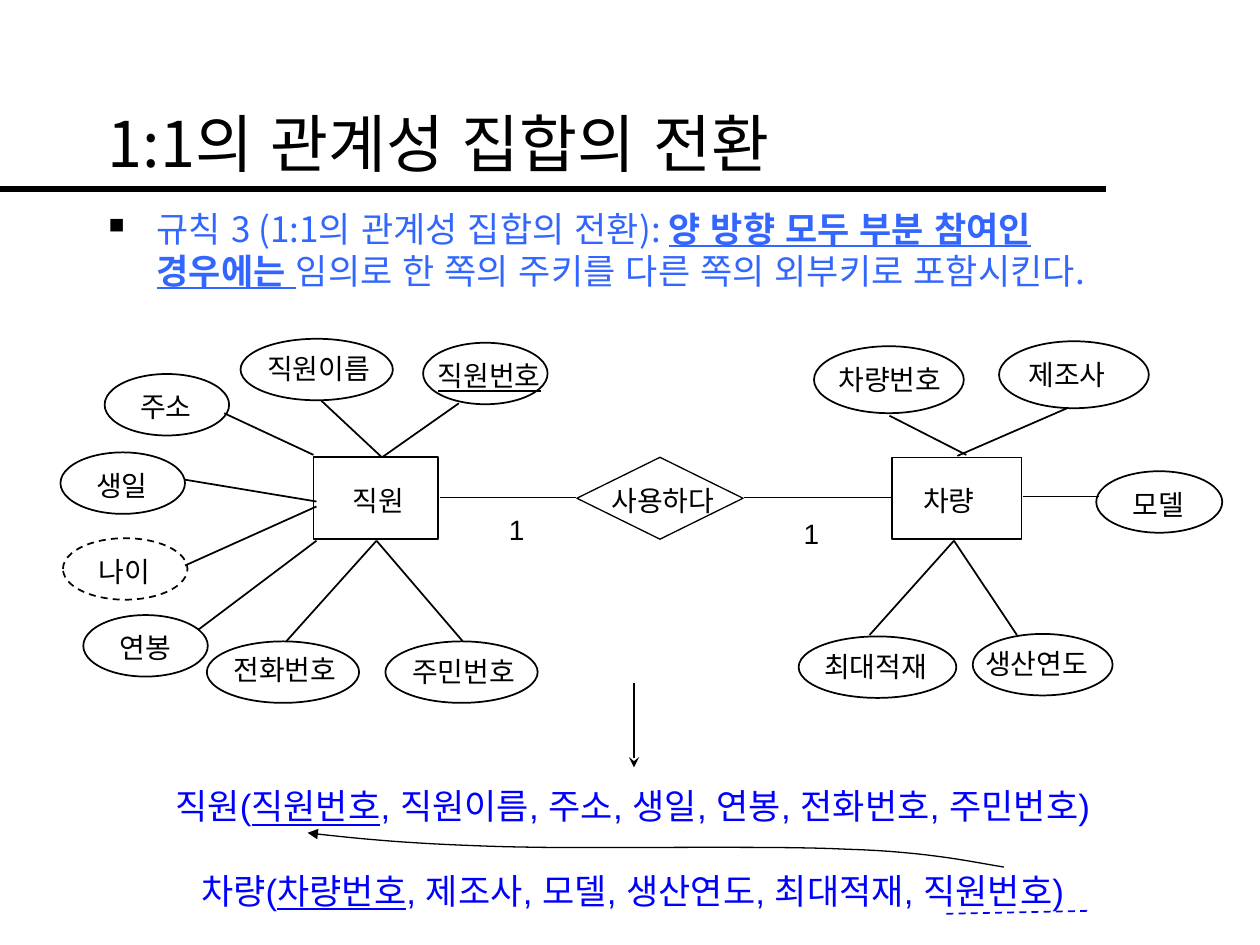
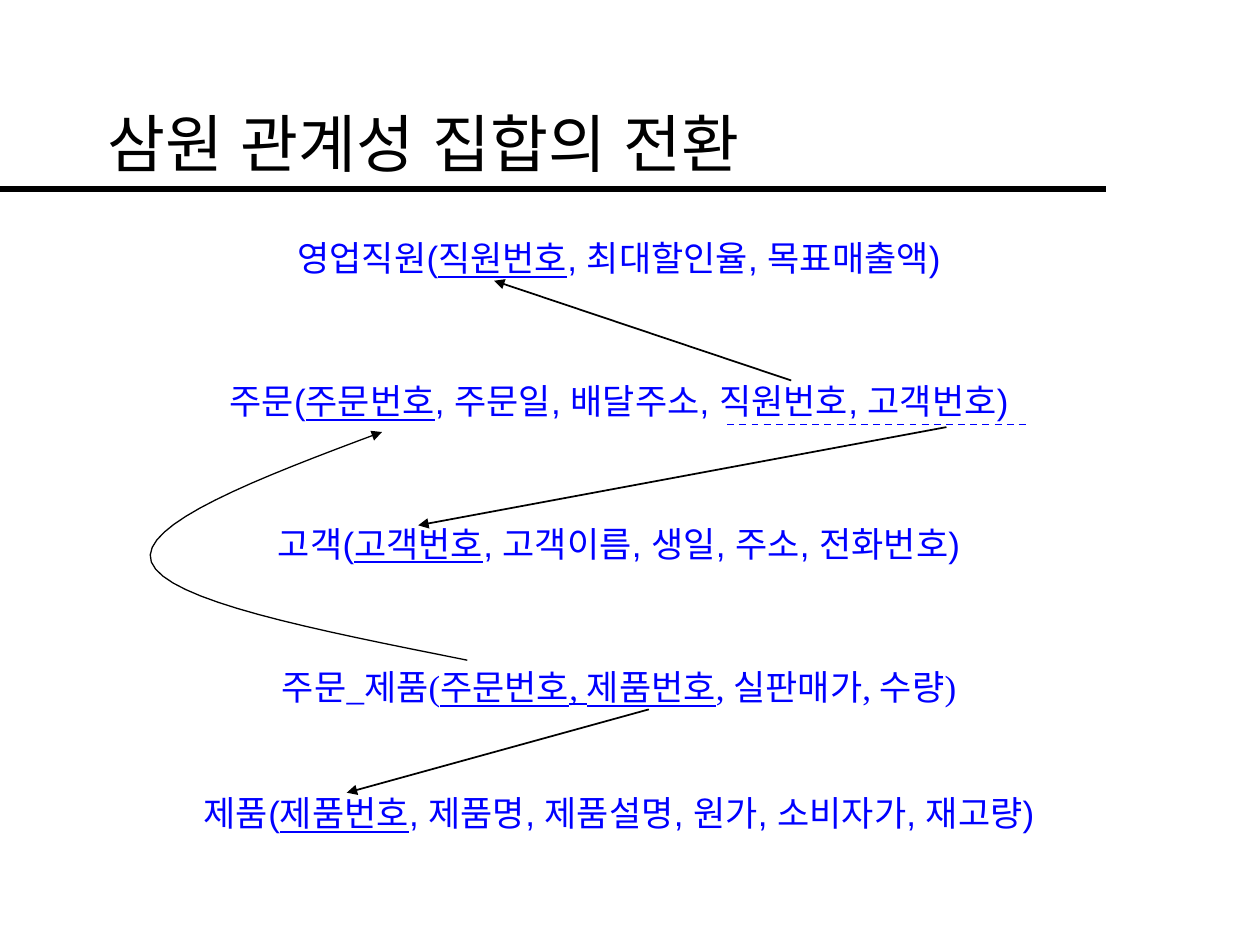
import dataclasses
import typing

import pptx
import pptx.dml.color
import pptx.enum.dml
import pptx.enum.shapes
import pptx.enum.text
import pptx.oxml.ns
import pptx.util
from lxml import etree

Cm = pptx.util.Cm
Pt = pptx.util.Pt
Kind = pptx.enum.shapes.MSO_SHAPE
Align = pptx.enum.text.PP_ALIGN
Mid = pptx.enum.text.MSO_ANCHOR.MIDDLE

INK, PAPER, BLUE, SKY = "000000", "FFFFFF", "0000FF", "3366FF"
SANS, LATIN, SERIF = "Noto Sans CJK KR", "Arial", "Times New Roman"


@dataclasses.dataclass
class Node:
    """An entity, relationship or attribute, with its label nudged by dx, dy."""
    text: str
    left: float
    top: float
    width: float = 2.51
    height: float = 1.24
    kind: typing.Any = Kind.OVAL
    dx: float = 0
    dy: float = 0.04
    under: bool = False
    dash: bool = False
    weight: float = 1


@dataclasses.dataclass
class Edge:
    """A straight line between two points."""
    x1: float
    y1: float
    x2: float
    y2: float
    weight: float = 1
    color: str = INK
    dash: bool = False
    tail: str = ""


@dataclasses.dataclass
class Table:
    """A relation schema: its name, underlined key and other columns."""
    name: str
    key: str
    rest: str
    gap: float = 0
    font: str = LATIN


NODES = [
    Node("주소", 2.11, 7.54, dx=-0.02),
    Node("직원이름", 4.85, 6.83, 3.07, dx=0.04, dy=-0.02),
    Node("직원번호", 8.53, 6.91, dx=0.08, under=True),
    Node("생일", 1.22, 9.12, dx=-0.02),
    Node("나이", 1.27, 10.85, dx=-0.02, dash=True),
    Node("연봉", 1.68, 12.4),
    Node("전화번호", 4.17, 12.93, 3.07, dx=0.04, dy=-0.06),
    Node("주민번호", 7.77, 12.93, 3.07, dx=0.04, dy=-0.02),
    Node("직원", 6.32, 9.22, 2.51, 1.65, Kind.RECTANGLE, 0.06),
    Node("사용하다", 11.63, 9.22, 3.35, 1.65, Kind.DIAMOND, 0.06, weight=0.75),
    Node("차량", 17.98, 9.22, 2.62, 1.65, Kind.RECTANGLE, -0.16, weight=0.75),
    Node("차량번호", 16.41, 6.98, 3.02, 1.35, dx=0.02, dy=0),
    Node("제조사", 20.14, 6.88, 3.02, 1.35, dx=-0.14, dy=0),
    Node("모델", 22.1, 9.5, 2.54, dx=-0.02),
    Node("최대적재", 16.1, 12.83, 3.18, dx=-0.04, dy=-0.02),
    Node("생산연도", 19.61, 12.78, 2.82, dx=-0.12, dy=-0.02),
]

EDGES = [
    Edge(4.52, 8.33, 6.32, 9.17),
    Edge(6.48, 8.08, 7.7, 9.22),
    Edge(9.25, 8.13, 7.7, 9.22),
    Edge(3.73, 9.67, 6.38, 10.11),
    Edge(3.73, 11.4, 6.38, 10.21),
    Edge(3.99, 12.7, 6.38, 10.9),
    Edge(7.59, 10.9, 5.77, 12.93),
    Edge(7.59, 10.9, 9.33, 12.93),
    Edge(8.86, 10.03, 11.61, 10.03, 0.75),
    Edge(14.99, 10.03, 17.96, 10.03, 0.75),
    Edge(17.93, 8.38, 19.48, 9.17),
    Edge(21.51, 8.23, 19.3, 9.19),
    Edge(20.62, 10.01, 22.15, 10.01),
    Edge(19.23, 10.9, 17.53, 12.8),
    Edge(19.23, 10.9, 20.5, 12.8),
    Edge(12.78, 13.77, 12.78, 15.47, tail="stealth"),
    Edge(19.08, 18.42, 22, 18.36, color=BLUE, dash=True),
]

LINKS = [
    Edge(14.66, 8.56, 20.68, 8.56, color=BLUE, dash=True),
    Edge(15.95, 7.67, 9.96, 5.66, tail="triangle"),
    Edge(19.08, 8.61, 8.43, 10.59, tail="triangle"),
    Edge(13.08, 14.3, 6.99, 15.98, tail="triangle"),
]

PAIR = [
    Table("직원(", "직원번호", ", 직원이름, 주소, 생일, 연봉, 전화번호, 주민번호)"),
    Table("차량(", "차량번호", ", 제조사, 모델, 생산연도, 최대적재, 직원번호)", 24),
]

SALES = [
    Table("영업직원(", "직원번호", ", 최대할인율, 목표매출액)"),
    Table("주문(", "주문번호", ", 주문일, 배달주소, 직원번호, 고객번호)", 57.5),
    Table("고객(", "고객번호", ", 고객이름, 생일, 주소, 전화번호)", 57.5),
    Table("주문_제품(", "주문번호, 제품번호", ", 실판매가, 수량)", 58, SERIF),
    Table("제품(", "제품번호", ", 제품명, 제품설명, 원가, 소비자가, 재고량)", 48),
]

CURVE = [(6.2, 16.79), (7.29, 16.92), (8.38, 17.02), (10.21, 17.07),
         (12.01, 17.12), (15.39, 17.04), (17.07, 17.12),
         (18.75, 17.17), (19.71, 17.4), (20.24, 17.48)]
BEND = [(7.7, 8.71), (5.23, 9.63), (2.77, 10.57), (3.05, 11.33),
        (3.35, 12.12), (6.38, 12.7), (9.42, 13.31)]


def put(thing: typing.Any, **vals: typing.Any) -> None:
    """Set each given attribute on an object."""
    for name, val in vals.items():
        setattr(thing, name, val)


def tint(code: str) -> pptx.dml.color.RGBColor:
    """Turn a hex string into a colour."""
    return pptx.dml.color.RGBColor.from_string(code)


def tag(root: typing.Any, name: str, **vals: str) -> typing.Any:
    """Append a drawing element to a parent."""
    return etree.SubElement(root, pptx.oxml.ns.qn("a:" + name), vals)


def write(para: typing.Any, text: str, size: float, color: str = INK,
          face: str = LATIN, east: str = SANS, **style: typing.Any) -> None:
    """Add a styled run to a paragraph."""
    run = para.add_run()
    run.text = text
    put(run.font, size=Pt(size), name=face, **style)
    run.font.color.rgb = tint(color)
    tag(run.font._element, "ea", typeface=east)


def box(slide: typing.Any, left: float, top: float, width: float,
        height: float, **style: typing.Any) -> typing.Any:
    """Add a text box and return its text frame."""
    frame = slide.shapes.add_textbox(
        Cm(left), Cm(top), Cm(width), Cm(height)).text_frame
    put(frame, **{"word_wrap": True, **style})
    return frame


def pen(line: typing.Any, color: str, weight: float, dash: bool = False,
        **ends: str) -> None:
    """Style a line and its arrowheads."""
    line.color.rgb = tint(color)
    line.width = Pt(weight)
    if dash:
        line.dash_style = pptx.enum.dml.MSO_LINE.DASH
    for name, kind in ends.items():
        if kind:
            tag(line._get_or_add_ln(), name, type=kind)


def join(slide: typing.Any, edge: Edge) -> None:
    """Draw an edge."""
    link = slide.shapes.add_connector(
        pptx.enum.shapes.MSO_CONNECTOR.STRAIGHT,
        Cm(edge.x1), Cm(edge.y1), Cm(edge.x2), Cm(edge.y2))
    pen(link.line, edge.color, edge.weight, edge.dash, tailEnd=edge.tail)
    tag(link._element.spPr, "effectLst")


def draw(slide: typing.Any, node: Node) -> None:
    """Draw a node with its label."""
    shape = slide.shapes.add_shape(node.kind, Cm(node.left), Cm(node.top),
                                   Cm(node.width), Cm(node.height))
    shape.shadow.inherit = False
    shape.fill.solid()
    shape.fill.fore_color.rgb = tint(PAPER)
    pen(shape.line, INK, node.weight, node.dash)
    frame = shape.text_frame
    put(frame, word_wrap=False, vertical_anchor=Mid,
        margin_left=Cm(0.25 + node.dx), margin_right=Cm(0.25 - node.dx),
        margin_top=Cm(0.13 + node.dy), margin_bottom=Cm(0.13 - node.dy))
    para = frame.paragraphs[0]
    para.alignment = Align.CENTER
    write(para, node.text, 16, underline=node.under)


def trace(knots: list, steps: int = 16) -> list:
    """Sample the points of a chain of cubic curves."""
    spots = [knots[0]]
    for start in range(0, len(knots) - 1, 3):
        for step in range(1, steps + 1):
            t = step / steps
            parts = ((1 - t) ** 3, 3 * t * (1 - t) ** 2,
                     3 * t * t * (1 - t), t ** 3)
            spots.append(tuple(
                sum(part * knot[axis] for part, knot
                    in zip(parts, knots[start:start + 4]))
                for axis in (0, 1)))
    return spots


def sweep(slide: typing.Any, knots: list) -> None:
    """Draw a curve with an arrowhead at its start."""
    first, *rest = [(Cm(x), Cm(y)) for x, y in trace(knots)]
    form = slide.shapes.build_freeform(*first)
    form.add_line_segments(rest, close=False)
    shape = form.convert_to_shape()
    shape.shadow.inherit = False
    shape.fill.background()
    pen(shape.line, INK, 0.75, headEnd="triangle")


def list_all(frame: typing.Any, tables: list) -> None:
    """Write relation schemas, one centred paragraph each."""
    for spot, table in enumerate(tables):
        para = frame.add_paragraph() if spot else frame.paragraphs[0]
        para.alignment = Align.CENTER
        if table.gap:
            para.space_before = Pt(table.gap)
        for text in (table.name, table.key, table.rest):
            write(para, text, 20, BLUE, table.font,
                  underline=text == table.key)


def start(deck: typing.Any, title: str) -> typing.Any:
    """Add a slide with its title and rule."""
    slide = deck.slides.add_slide(deck.slide_layouts[6])
    join(slide, Edge(0, 3.81, 22.3, 3.81, 4))
    frame = box(slide, 1.92, 1.27, 21.59, 3.18, vertical_anchor=Mid)
    write(frame.paragraphs[0], title, 36, face=SANS, east=LATIN)
    return slide


def rule(slide: typing.Any) -> None:
    """Write the bulleted conversion rule."""
    para = box(slide, 1.94, 4.06, 21.59, 2.2).paragraphs[0]
    props = para._p.get_or_add_pPr()
    for name, val in {"marL": Cm(0.97), "indent": Cm(-0.97)}.items():
        props.set(name, str(int(val)))
    tag(tag(props, "buClr"), "srgbClr", val=INK)
    tag(props, "buSzPct", val="62000")
    tag(props, "buChar", char="■")
    for text, strong in (
            ("규칙 3 (1:1의 관계성 집합의 전환): ", False),
            ("양 방향 모두 부분 참여인 경우에는 ", True),
            ("임의로 한 쪽의 주키를 다른 쪽의 외부키로 포함시킨다.", False)):
        write(para, text, 20, SKY, SANS, LATIN, bold=strong, underline=strong)


def main() -> None:
    """Build and save both slides."""
    deck = pptx.Presentation()
    put(deck, slide_width=Cm(25.4), slide_height=Cm(19.05))

    slide = start(deck, "1:1의 관계성 집합의 전환")
    rule(slide)
    for node in NODES:
        draw(slide, node)
    for edge in EDGES:
        join(slide, edge)
    for left, top in ((10.01, 10.21), (15.95, 10.29)):
        write(box(slide, left, top, 0.84, 0.94).paragraphs[0], "1", 16)
    list_all(box(slide, 2.01, 15.7, 21.49, 3.12, word_wrap=False), PAIR)
    sweep(slide, CURVE)

    slide = start(deck, "삼원 관계성 집합의 전환")
    list_all(box(slide, 2.41, 4.65, 20.14, 12.29), SALES)
    for edge in LINKS:
        join(slide, edge)
    sweep(slide, BEND)

    deck.save("out.pptx")


if __name__ == "__main__":
    main()
